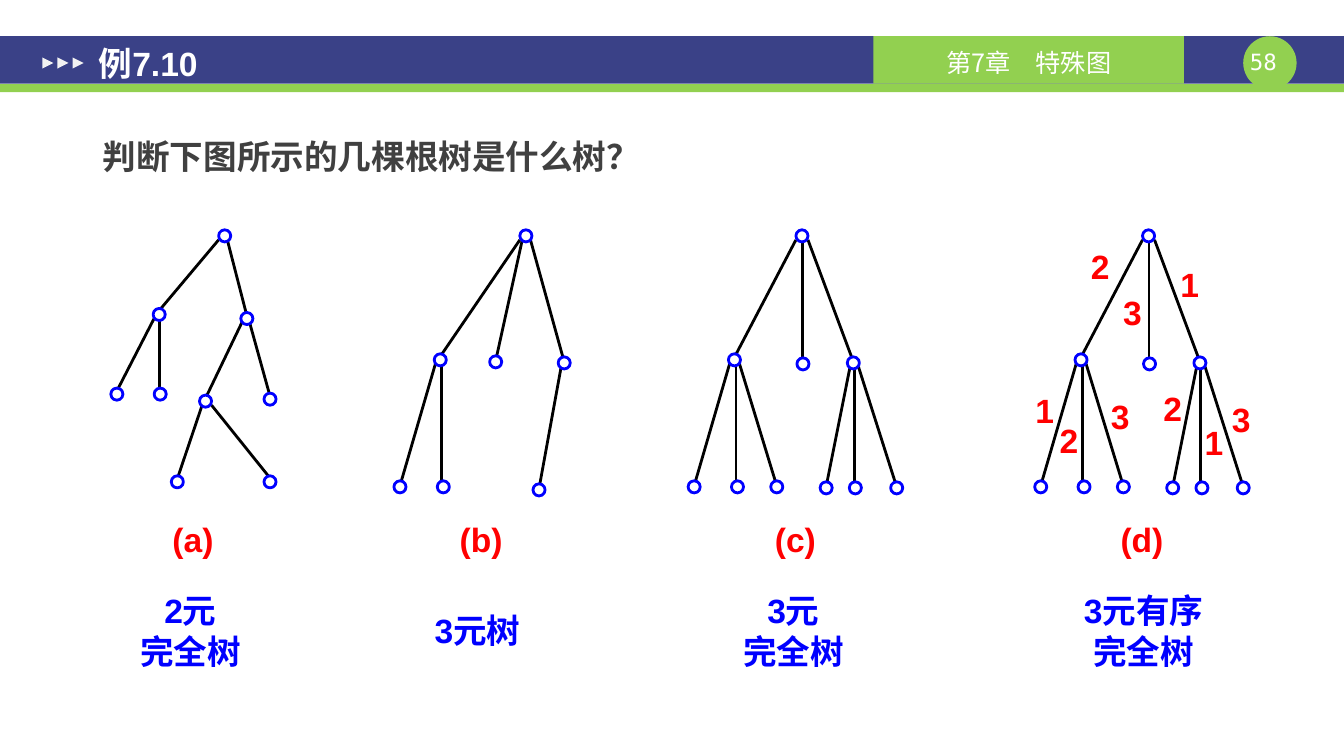
from dataclasses import dataclass
from lxml.etree import SubElement
from pptx import Presentation
from pptx.dml.color import RGBColor as Rgb
from pptx.enum.shapes import MSO_CONNECTOR as Wire, MSO_SHAPE as Form
from pptx.enum.text import MSO_ANCHOR as Anchor, PP_ALIGN as Align
from pptx.oxml.ns import qn
from pptx.util import Inches, Pt

COLS, ROWS = 133.4, 75


@dataclass(frozen=True)
class Theme:
    navy: str = "3A4187"
    green: str = "92D050"
    white: str = "FFFFFF"
    pale: str = "F2F2F2"
    gray: str = "404040"
    black: str = "000000"
    blue: str = "0000FF"
    red: str = "FF0000"
    latin: str = "Arial"
    mono: str = "DejaVu Sans Mono"
    han: str = "Noto Sans CJK SC"
    big: int = 24
    mid: int = 18
    small: int = 16
    line: int = 2


def cell(*grid):
    return [Inches(n / 10) for n in grid]


def write(frame, text, size, color, font, bold=True, align=Align.CENTER,
          anchor=Anchor.TOP, pad=(0, 0, 0, 0), space=None):
    frame.word_wrap = True
    frame.vertical_anchor = anchor
    (frame.margin_left, frame.margin_top,
     frame.margin_right, frame.margin_bottom) = cell(*pad)
    frame.text = text
    for para in frame.paragraphs:
        para.alignment = align
        if space:
            para.line_spacing = space
        for run in para.runs:
            run.font.size = Pt(size)
            run.font.bold = bold
            run.font.color.rgb = Rgb.from_string(color)
            run.font.name = font
            SubElement(run.font._element, qn("a:ea"), typeface=Theme.han)


class Board:
    def __init__(self, theme):
        self.theme = theme
        self.deck = Presentation()
        self.deck.slide_width, self.deck.slide_height = cell(COLS, ROWS)
        self.slide = self.deck.slides.add_slide(self.deck.slide_layouts[6])
        self.shapes = self.slide.shapes

    def group(self):
        self.shapes = self.slide.shapes.add_group_shape().shapes

    def shape(self, form, box, fill, line=None):
        item = self.shapes.add_shape(form, *cell(*box))
        item.shadow.inherit = False
        item.fill.solid()
        item.fill.fore_color.rgb = Rgb.from_string(fill)
        if line:
            item.line.color.rgb = Rgb.from_string(line)
            item.line.width = Pt(self.theme.line)
        else:
            item.line.fill.background()
        return item

    def text(self, text, box, color, size=Theme.big, font=Theme.latin, **form):
        frame = self.shapes.add_textbox(*cell(*box)).text_frame
        write(frame, text, size, color, font, **form)

    def edge(self, start, end):
        item = self.shapes.add_connector(Wire.STRAIGHT, *cell(*start, *end))
        item.line.color.rgb = Rgb.from_string(self.theme.black)
        item.line.width = Pt(self.theme.line)
        SubElement(item._element.spPr, qn("a:effectLst"))

    def branch(self, top, low):
        (ax, ay), (bx, by) = top, low
        run = bx - ax
        if abs(run) < 0.5:
            ax = bx = (ax + bx) / 2
        else:
            lean = max(-0.6, min(0.6, run * 0.12))
            ax, bx = ax + lean, bx - lean * 0.3
        self.edge((ax, ay + 0.4), (bx, by - 0.6))

    def tree(self, left, nodes, name):
        self.group()
        spots = [(left, TOP)] + [(left + x, TOP + y) for x, y, _ in nodes]
        for spot, (_, _, root) in zip(spots[1:], nodes):
            self.branch(spots[root], spot)
        for x, y in spots:
            self.shape(Form.OVAL, (x - 0.6, y - 0.6, 1.2, 1.2),
                       self.theme.white, self.theme.blue)
        self.text(name, (left + NAMES[name], 51.5, 6.9, 4), self.theme.red)


TOP = 23.4
NAMES = {"(a)": -6.6, "(b)": -7.9, "(c)": -4.1, "(d)": -4.1}
BINARY = [(-6.5, 7.8, 0), (2.2, 8.2, 0), (-10.7, 15.7, 1), (-6.4, 15.7, 1),
          (-1.9, 16.4, 2), (4.5, 16.2, 2), (-4.7, 24.4, 5), (4.5, 24.4, 5)]
MIXED = [(-8.5, 12.3, 0), (-3, 12.5, 0), (3.8, 12.6, 0),
         (-12.5, 24.9, 1), (-8.2, 24.9, 1), (1.3, 25.2, 3)]
FULL = [(-6.7, 12.3, 0), (0.1, 12.7, 0), (5.1, 12.6, 0),
        (-10.7, 24.9, 1), (-6.4, 24.9, 1), (-2.5, 24.9, 1),
        (2.4, 25, 3), (5.3, 25, 3), (9.4, 25, 3)]
TREES = [(22.3, BINARY, "(a)"), (52.2, MIXED, "(b)"),
         (79.6, FULL, "(c)"), (114, FULL, "(d)")]
MARKS = [("2", 106.9, 24.4), ("3", 110.1, 29), ("1", 115.8, 26.2),
         ("1", 101.4, 38.7), ("2", 103.8, 41.7), ("3", 108.9, 39.3),
         ("2", 114.1, 38.5), ("1", 118.2, 41.9), ("3", 120.9, 39.6)]
KINDS = [("2元\n完全树", 11, 15.8), ("3元树", 40.7, 13.4),
         ("3元\n完全树", 72.2, 13.1), ("3元有序\n完全树", 106.4, 14.2)]


def header(board):
    look = board.theme
    board.shape(Form.RECTANGLE, (0, 3.6, COLS, 4.7), look.navy)
    board.shape(Form.RECTANGLE, (0, 8.35, COLS, 0.8), look.green)
    board.shape(Form.OVAL, (123.4, 3.6, 5.3, 5.3), look.green)
    board.text("58", (122.75, 4.8, 5.3, 2.7), look.white, look.small,
               look.mono, bold=False)
    label = board.shape(Form.RECTANGLE, (86.7, 3.6, 30.8, 4.7), look.green)
    write(label.text_frame, "第7章　特殊图", look.mid, look.white, look.han,
          bold=False, anchor=Anchor.MIDDLE, pad=(1, 0.4, 1, 0))
    for step in range(3):
        mark = board.shape(Form.ISOSCELES_TRIANGLE,
                           (4.2 + 1.5 * step, 5.7, 1.1, 1.1), look.pale)
        mark.rotation = 90
    pad = (1.3, 0.7, 1.3, 0.7)
    board.text("例7.10", (8.5, 3.9, 58.3, 4.7), look.white,
               align=Align.LEFT, anchor=Anchor.MIDDLE, pad=pad)
    board.text("判断下图所示的几棵根树是什么树？", (8.9, 10.8, 101.9, 8.9),
               look.gray, align=Align.LEFT, pad=pad, space=1.5)


def main():
    board = Board(Theme())
    header(board)
    for text, left, wide in KINDS:
        board.text(text, (left, 58, wide, 9.1), board.theme.blue,
                   anchor=Anchor.MIDDLE, pad=(1, 0.5, 1, 0.5))
    for left, nodes, name in TREES:
        board.tree(left, nodes, name)
    for text, left, top in MARKS:
        board.text(text, (left, top, 4.6, 4), board.theme.red)
    board.deck.save("out.pptx")


if __name__ == "__main__":
    main()
